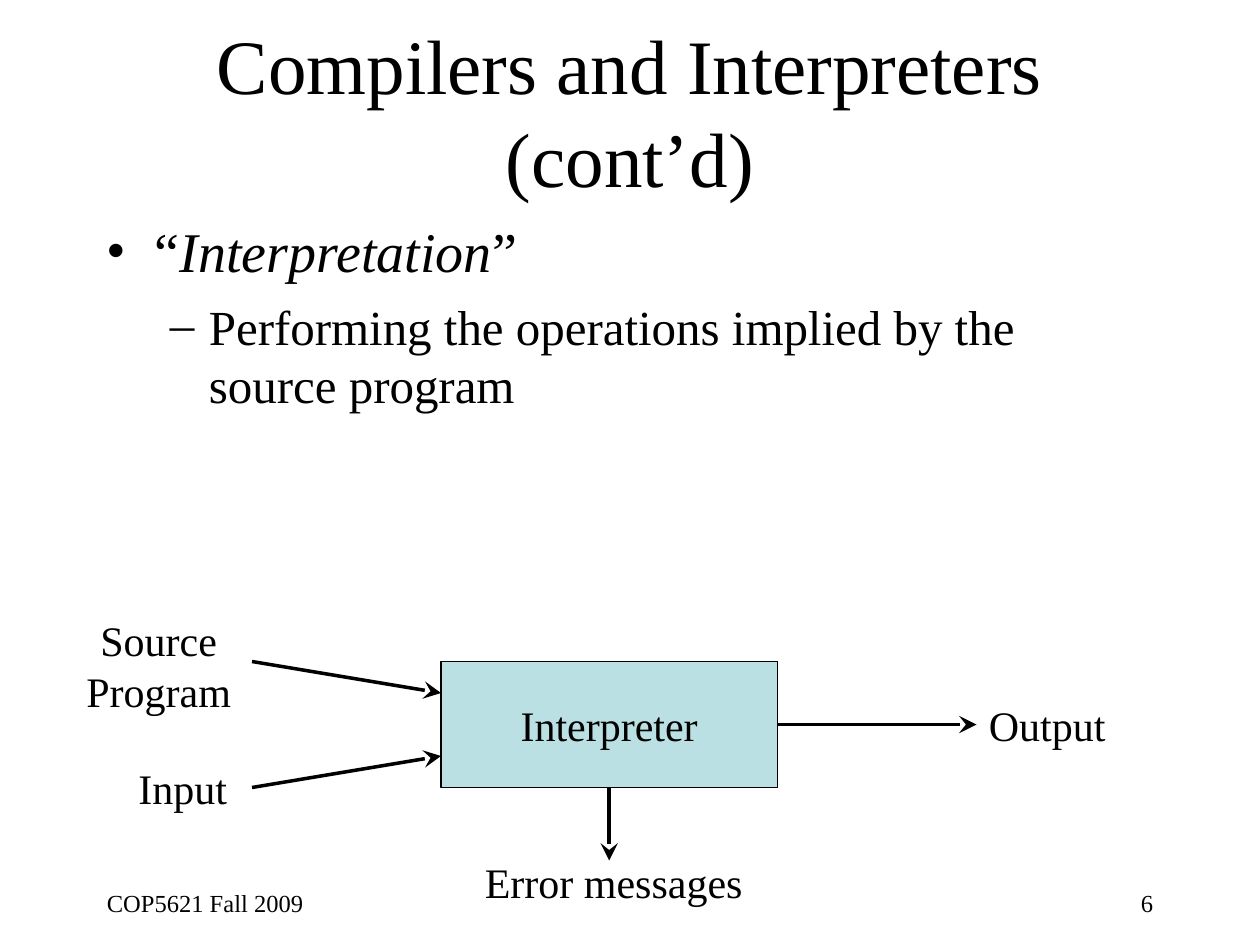
from lxml import etree
from pptx import Presentation
from pptx.dml.color import RGBColor
from pptx.enum.shapes import MSO_CONNECTOR as CONNECTOR, MSO_SHAPE as SHAPE
from pptx.enum.text import MSO_ANCHOR as ANCHOR, MSO_AUTO_SIZE as AUTO_SIZE, PP_ALIGN as ALIGN
from pptx.oxml.ns import qn
from pptx.util import Inches, Pt

COLORS = {"ink": "000000", "box": "BBE0E3", "paper": "FFFFFF"}
FONT = "Times New Roman"


def color(name):
    return RGBColor.from_string(COLORS[name])


def add_run(paragraph, text, size, italic=False):
    run = paragraph.add_run()
    run.text = text
    values = {"name": FONT, "size": Pt(size), "italic": italic}
    for name, value in values.items():
        setattr(run.font, name, value)
    run.font.color.rgb = color("ink")


def add_text(slide, box, lines, size, align=ALIGN.LEFT, **frame_format):
    """Place a text box with one paragraph for each line."""
    frame = slide.shapes.add_textbox(*map(Inches, box)).text_frame
    for name, value in {"word_wrap": True, **frame_format}.items():
        setattr(frame, name, value)
    for index, line in enumerate(lines):
        paragraph = frame.add_paragraph() if index else frame.paragraphs[0]
        paragraph.alignment = align
        add_run(paragraph, line, size)
    return frame


def add_bullet(paragraph, character, indent, hanging, space_before):
    paragraph.space_before = Pt(space_before)
    properties = paragraph._p.get_or_add_pPr()
    properties.set("marL", str(Inches(indent)))
    properties.set("indent", str(-Inches(hanging)))
    bullet_color = etree.SubElement(properties, qn("a:buClr"))
    etree.SubElement(bullet_color, qn("a:srgbClr"), val=COLORS["ink"])
    etree.SubElement(properties, qn("a:buFont"), typeface=FONT)
    etree.SubElement(properties, qn("a:buChar"), char=character)


def add_body(slide, box):
    frame = add_text(slide, box, [], 32)
    term = frame.paragraphs[0]
    add_bullet(term, "•", 0.38, 0.38, 8)
    for text, italic in (("“", False), ("Interpretation", True), ("”", False)):
        add_run(term, text, 32, italic)
    meaning = frame.add_paragraph()
    meaning.level = 1
    add_bullet(meaning, "–", 0.81, 0.31, 7)
    add_run(meaning, "Performing the operations implied by the source program", 28)


def add_arrow(slide, start, end):
    arrow = slide.shapes.add_connector(CONNECTOR.STRAIGHT, *map(Inches, start + end))
    arrow.line.color.rgb = color("ink")
    arrow.line.width = Pt(2)
    etree.SubElement(arrow.line._get_or_add_ln(), qn("a:tailEnd"),
                     type="stealth", w="lg", len="lg")
    etree.SubElement(arrow._element.spPr, qn("a:effectLst"))
    return arrow


def add_interpreter(slide, box):
    shape = slide.shapes.add_shape(SHAPE.RECTANGLE, *map(Inches, box))
    shape.shadow.inherit = False
    shape.fill.solid()
    shape.fill.fore_color.rgb = color("box")
    shape.line.color.rgb = color("ink")
    shape.line.width = Pt(0.75)
    frame = shape.text_frame
    frame.word_wrap = False
    frame.vertical_anchor = ANCHOR.MIDDLE
    frame.paragraphs[0].alignment = ALIGN.CENTER
    add_run(frame.paragraphs[0], "Interpreter", 24)
    return shape


def add_diagram(slide, box):
    """Draw the interpreter in the box, with its inputs and outputs around it."""
    left, top, width, height = box
    right, bottom = left + width, top + height
    center, middle = left + width / 2, top + height / 2
    interpreter = add_interpreter(slide, box)

    # Labels around the box, each a little wider than its text
    labels = [
        (["Source", "Program"], (left - 2.94, top - 0.42, 1.4, 0.9), ALIGN.CENTER),
        (["Input"], (left - 2.5, bottom - 0.25, 0.95, 0.5), ALIGN.LEFT),
        (["Output"], (right + 1.58, middle - 0.25, 1.18, 0.5), ALIGN.LEFT),
        (["Error messages"], (left + 0.25, bottom + 0.5, 2.3, 0.5), ALIGN.LEFT),
    ]
    for lines, label_box, align in labels:
        add_text(slide, label_box, lines, 24, align,
                 word_wrap=False, auto_size=AUTO_SIZE.NONE)

    # Arrows into the box, a quarter of its height from the corners
    for edge, step in ((top, height / 4), (bottom, -height / 4)):
        add_arrow(slide, (left - 1.5, edge), (left, edge + step))

    # Arrows out of the box
    output = add_arrow(slide, (right, middle), (right + 1.58, middle))
    output.begin_connect(interpreter, 3)
    errors = add_arrow(slide, (center, bottom), (center, bottom + 0.58))
    errors.begin_connect(interpreter, 2)


def add_footer(slide, box):
    left, top, width, height = box
    add_text(slide, (left, top, 2, height), ["COP5621 Fall 2009"], 14)
    add_text(slide, (left + width - 2.08, top, 2.08, height), ["6"], 14, ALIGN.RIGHT)


def main():
    presentation = Presentation()
    presentation.slide_width, presentation.slide_height = Inches(10), Inches(7.5)
    slide = presentation.slides.add_slide(presentation.slide_layouts[6])
    slide.background.fill.solid()
    slide.background.fill.fore_color.rgb = color("paper")

    add_text(slide, (0.75, 0.25, 8.5, 1.25), ["Compilers and Interpreters (cont’d)"],
             44, ALIGN.CENTER, vertical_anchor=ANCHOR.MIDDLE)
    add_diagram(slide, (3.5, 5.25, 2.67, 1))
    add_body(slide, (0.75, 1.67, 8.5, 5))
    add_footer(slide, (0.75, 7, 8.5, 0.33))
    presentation.save("out.pptx")


if __name__ == "__main__":
    main()
